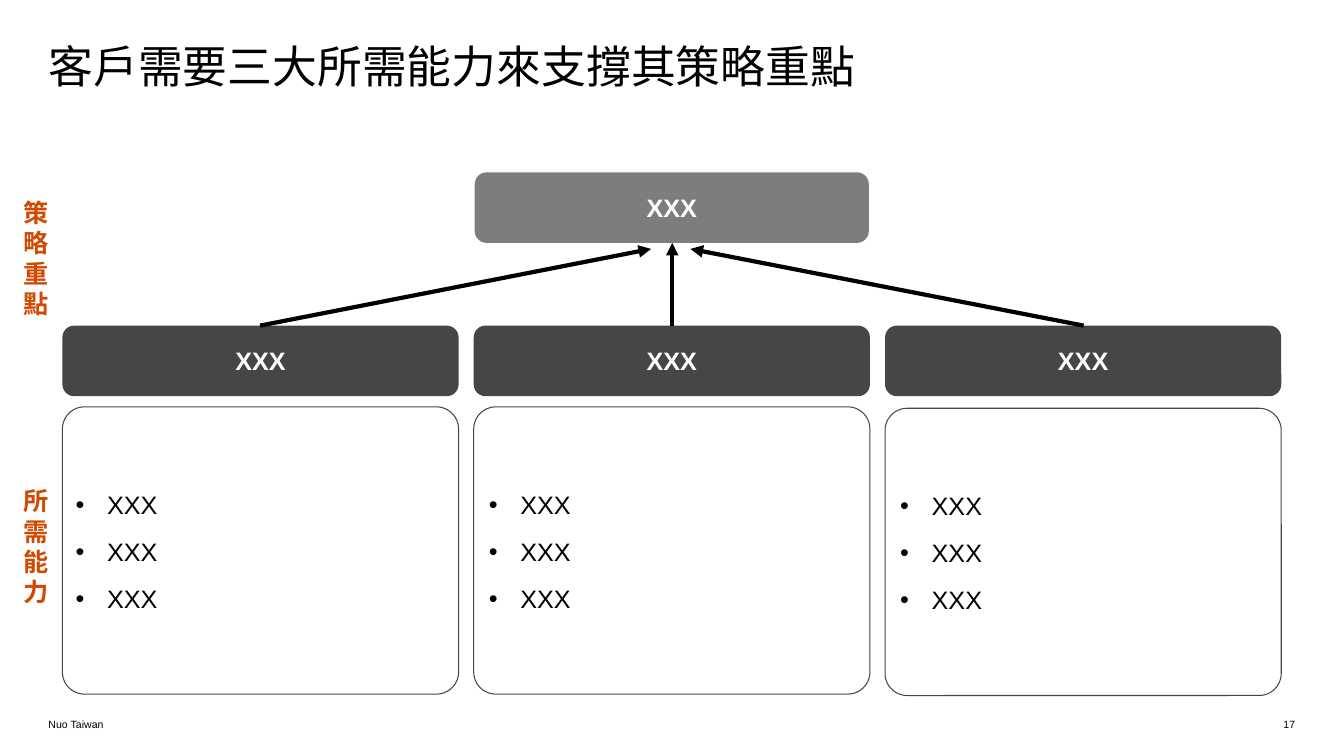
from lxml.etree import SubElement
from pptx import Presentation
from pptx.dml.color import RGBColor
from pptx.enum.shapes import MSO_CONNECTOR as Connector, MSO_SHAPE as Shape
from pptx.enum.text import MSO_ANCHOR as Anchor, MSO_AUTO_SIZE as AutoSize, PP_ALIGN as Align
from pptx.oxml.ns import qn
from pptx.util import Pt

BLACK, WHITE, DARK, GREY, ORANGE = "000000", "FFFFFF", "464646", "7D7D7D", "D04A02"
LATIN, CJK = "Arial", "Noto Sans CJK SC"

COLUMN_LEFT, COLUMN_STEP, COLUMN_WIDTH = 44.6, 293.8, 283
HEADER_TOP, HEADER_HEIGHT = 232.6, 50.4
CARD_HEIGHT, LIST_WIDTH, LIST_HEIGHT = 205.2, 263.5, 203.5
# Per column: card top, list left, list items
COLUMNS = [
    (290.6, 54, ["XXX", "XXX", "XXX"]),
    (290.6, 349.2, ["XXX", "XXX", "XXX"]),
    (291.6, 643, ["XXX", "XXX", "XXX"]),
]


def color(value):
    return RGBColor.from_string(value)


def place(box, left, top, width, height):
    box.left, box.top, box.width, box.height = Pt(left), Pt(top), Pt(width), Pt(height)


def set_frame(box, anchor, inset=0):
    frame = box.text_frame
    frame.word_wrap = True
    frame.auto_size = AutoSize.NONE
    frame.vertical_anchor = anchor
    frame.margin_left = frame.margin_right = Pt(inset)
    frame.margin_top = frame.margin_bottom = Pt(inset / 2)
    return frame


def add_span(para, text, size, hue, bold=False, name=LATIN):
    span = para.add_run()
    span.text = text
    font = span.font
    font.size, font.bold, font.name = Pt(size), bold, name
    font.color.rgb = color(hue)
    if name == CJK:
        SubElement(font._element, qn("a:ea"), typeface=name)


def add_text(page, area, text, size, hue, bold=False, align=Align.LEFT,
             anchor=Anchor.BOTTOM, inset=0):
    box = page.shapes.add_textbox(*map(Pt, area))
    para = set_frame(box, anchor, inset).paragraphs[0]
    para.alignment = align
    add_span(para, text, size, hue, bold)


def add_round_box(page, area, fill, line=None):
    box = page.shapes.add_shape(Shape.ROUNDED_RECTANGLE, *map(Pt, area))
    box.shadow.inherit = False
    box.fill.solid()
    box.fill.fore_color.rgb = color(fill)
    if line:
        box.line.color.rgb = color(line)
        box.line.width = Pt(0.75)
    else:
        box.line.fill.background()
    return box


def add_header(page, area, fill, text):
    box = add_round_box(page, area, fill)
    para = set_frame(box, Anchor.MIDDLE, 7.2).paragraphs[0]
    para.alignment = Align.CENTER
    add_span(para, text, 18, WHITE, bold=True)


def add_bullet(para):
    props = para._p.get_or_add_pPr()
    props.set("marL", str(Pt(22.5)))
    props.set("indent", str(-Pt(22.5)))
    tint = SubElement(props, qn("a:buClr"))
    SubElement(tint, qn("a:srgbClr"), val=BLACK)
    SubElement(props, qn("a:buFont"), typeface=LATIN)
    SubElement(props, qn("a:buChar"), char="•")


def fill_list(body, area, items):
    place(body, *area)
    frame = set_frame(body, Anchor.MIDDLE)
    for index, item in enumerate(items):
        para = frame.add_paragraph() if index else frame.paragraphs[0]
        para.alignment = Align.LEFT
        para.line_spacing = 1.0
        para.space_before, para.space_after = Pt(0), Pt(12)
        add_bullet(para)
        add_span(para, item, 18, BLACK)


def add_arrow(page, start, end):
    arrow = page.shapes.add_connector(Connector.STRAIGHT, *map(Pt, start + end))
    arrow.line.color.rgb = color(BLACK)
    arrow.line.width = Pt(3)
    SubElement(arrow.line._get_or_add_ln(), qn("a:tailEnd"), type="triangle")
    SubElement(arrow._element.spPr, qn("a:effectLst"))


def add_title(page, text):
    title = page.shapes.title
    place(title, 34.6, 33.8, 890, 109.4)
    para = set_frame(title, Anchor.TOP).paragraphs[0]
    para.alignment = Align.LEFT
    para.line_spacing = 0.85
    add_span(para, text, 32, BLACK, name=CJK)


def add_column(page, index, body):
    card_top, list_left, items = COLUMNS[index]
    left = COLUMN_LEFT + index * COLUMN_STEP
    add_header(page, (left, HEADER_TOP, COLUMN_WIDTH, HEADER_HEIGHT), DARK, "XXX")
    card = add_round_box(page, (left, card_top, COLUMN_WIDTH, CARD_HEIGHT), WHITE, DARK)
    card.adjustments[0] = 0.077
    fill_list(body, (list_left, card_top + 1.6, LIST_WIDTH, LIST_HEIGHT), items)
    # Bring the list in front of its card
    card._element.addnext(body._element)


def main():
    deck = Presentation()
    deck.slide_width, deck.slide_height = Pt(960), Pt(540)
    page = deck.slides.add_slide(deck.slide_layouts.get_by_name("Comparison"))
    *bodies, spare = list(page.placeholders)[1:]
    spare._element.getparent().remove(spare._element)

    add_title(page, "客戶需要三大所需能力來支撐其策略重點")

    # Strategic priority and the three capabilities
    add_header(page, (339.1, 123.1, 281.5, HEADER_HEIGHT), GREY, "XXX")
    for index, body in enumerate(bodies):
        add_column(page, index, body)

    # Row labels, one character per line
    for top, text in [(137.5, "策略重點"), (343.4, "所需能力")]:
        add_text(page, (9.4, top, 34.6, 94.3), text, 18, ORANGE, bold=True,
                 anchor=Anchor.TOP, inset=7.2)

    # Arrows from the capabilities to the priority
    for start_left, end in [(185.8, (465.1, 177.8)), (774, (493.2, 177.8)),
                            (480.2, (480.2, 173.5))]:
        add_arrow(page, (start_left, HEADER_TOP), end)

    # Footer
    add_text(page, (34.6, 511.2, 431.3, 10.8), "Nuo Taiwan", 7.5, BLACK)
    add_text(page, (786.2, 511.2, 139, 10.8), "17", 7.5, BLACK, align=Align.RIGHT)

    deck.save("out.pptx")


if __name__ == "__main__":
    main()
